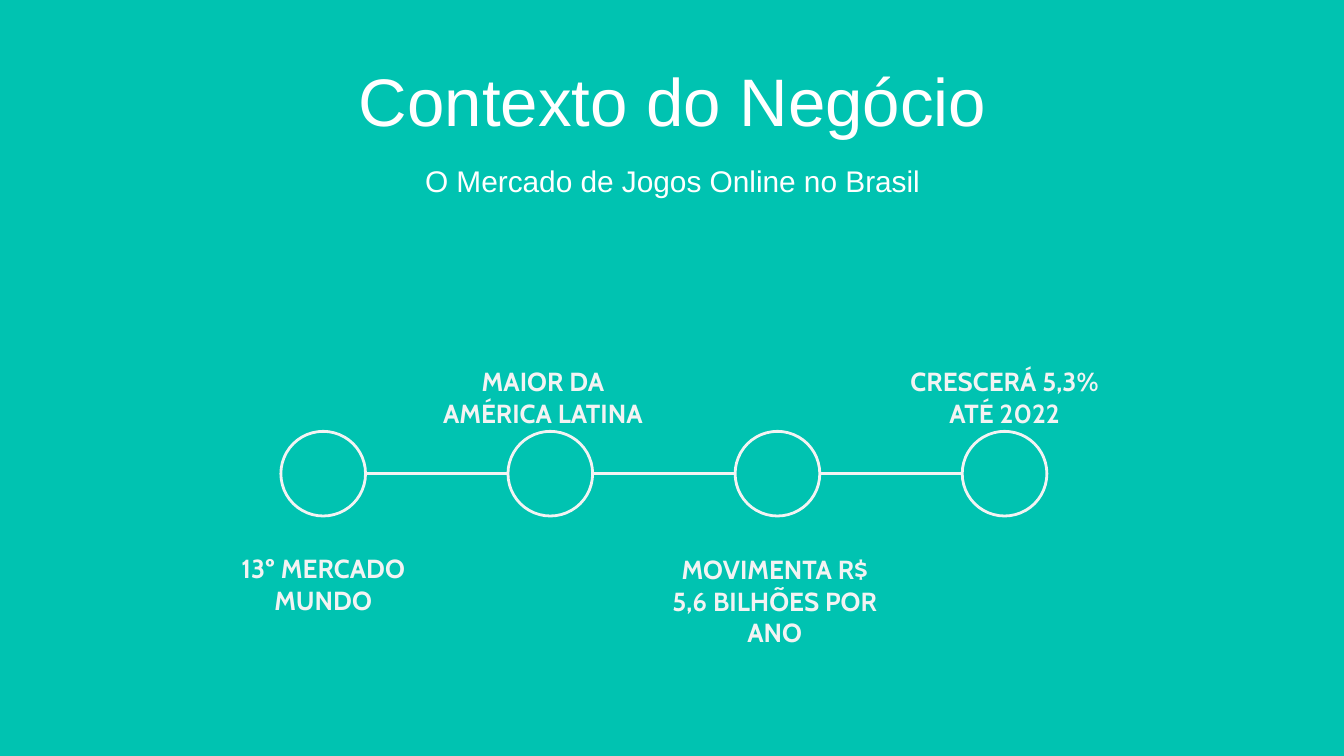
from typing import NamedTuple

from lxml import etree
from pptx import Presentation
from pptx.dml.color import RGBColor
from pptx.enum.shapes import MSO_CONNECTOR, MSO_SHAPE
from pptx.enum.text import MSO_ANCHOR, MSO_AUTO_SIZE, PP_ALIGN
from pptx.oxml.ns import qn
from pptx.slide import Slide
from pptx.util import Inches, Pt

TEAL = RGBColor(0x00, 0xC3, 0xB1)
WHITE = RGBColor(0xFF, 0xFF, 0xFF)
OFF_WHITE = RGBColor(0xF3, 0xF3, 0xF3)

# Slide in 16:9 and timeline geometry, in inches
SLIDE_WIDTH = 10
SLIDE_HEIGHT = SLIDE_WIDTH * 9 / 16
FIRST_LEFT = 2.09
STEP = 1.69
DIAMETER = 0.63
CIRCLE_TOP = 3.21
AXIS_Y = CIRCLE_TOP + DIAMETER / 2
STROKE = Pt(1.5)


class Box(NamedTuple):
    left: float
    top: float
    width: float
    height: float


class Milestone(NamedTuple):
    fact: str
    label_box: Box


MILESTONES = [
    Milestone("13º MERCADO MUNDO", Box(1.5, 4, 1.81, 0.41)),
    Milestone("MAIOR DA AMÉRICA LATINA", Box(3.08, 2.61, 1.92, 0.41)),
    Milestone("MOVIMENTA R$ 5,6 BILHÕES POR ANO", Box(4.86, 3.95, 1.81, 0.76)),
    Milestone("CRESCERÁ 5,3% ATÉ 2022", Box(6.57, 2.61, 1.81, 0.41)),
]


def add_text(slide: Slide, text: str, box: Box, *, size: float,
             font: str = "Arial", color: RGBColor = WHITE, bold: bool = False,
             anchor: MSO_ANCHOR = MSO_ANCHOR.TOP, inset_top: float = 0.05,
             inset_bottom: float = 0.05, space_after: float = 0,
             grow: bool = False) -> None:
    frame = slide.shapes.add_textbox(*map(Inches, box)).text_frame
    frame.word_wrap = True
    frame.auto_size = MSO_AUTO_SIZE.SHAPE_TO_FIT_TEXT if grow else MSO_AUTO_SIZE.NONE
    frame.vertical_anchor = anchor
    frame.margin_top = Inches(inset_top)
    frame.margin_bottom = Inches(inset_bottom)
    paragraph = frame.paragraphs[0]
    paragraph.alignment = PP_ALIGN.CENTER
    paragraph.space_after = Pt(space_after)
    run = paragraph.add_run()
    run.text = text
    run.font.name = font
    run.font.size = Pt(size)
    run.font.bold = bold
    run.font.color.rgb = color


def add_circle(slide: Slide, left: float) -> None:
    circle = slide.shapes.add_shape(
        MSO_SHAPE.OVAL, Inches(left), Inches(CIRCLE_TOP),
        Inches(DIAMETER), Inches(DIAMETER))
    circle.shadow.inherit = False
    circle.fill.background()
    circle.line.color.rgb = OFF_WHITE
    circle.line.width = STROKE


def add_link(slide: Slide, start: float, end: float) -> None:
    link = slide.shapes.add_connector(
        MSO_CONNECTOR.STRAIGHT, Inches(start), Inches(AXIS_Y),
        Inches(end), Inches(AXIS_Y))
    link.line.color.rgb = OFF_WHITE
    link.line.width = STROKE
    etree.SubElement(link._element.spPr, qn("a:effectLst"))


def main() -> None:
    deck = Presentation()
    deck.slide_width = Inches(SLIDE_WIDTH)
    deck.slide_height = Inches(SLIDE_HEIGHT)
    slide = deck.slides.add_slide(deck.slide_layouts[6])
    slide.background.fill.solid()
    slide.background.fill.fore_color.rgb = TEAL

    # Heading
    add_text(slide, "Contexto do Negócio", Box(2.56, 0.39, 4.89, 0.71),
             size=36, grow=True)
    add_text(slide, "O Mercado de Jogos Online no Brasil",
             Box(2.56, 1.16, 4.89, 0.37), size=16, grow=True)

    # Timeline: label, circle and link to the next circle
    for index, milestone in enumerate(MILESTONES):
        left = FIRST_LEFT + index * STEP
        add_text(slide, milestone.fact, milestone.label_box, size=14,
                 font="Cabin", color=OFF_WHITE, bold=True,
                 anchor=MSO_ANCHOR.MIDDLE, inset_top=0.28, inset_bottom=0,
                 space_after=16)
        add_circle(slide, left)
        if index < len(MILESTONES) - 1:
            add_link(slide, left + DIAMETER, left + STEP)

    deck.save("out.pptx")


if __name__ == "__main__":
    main()
